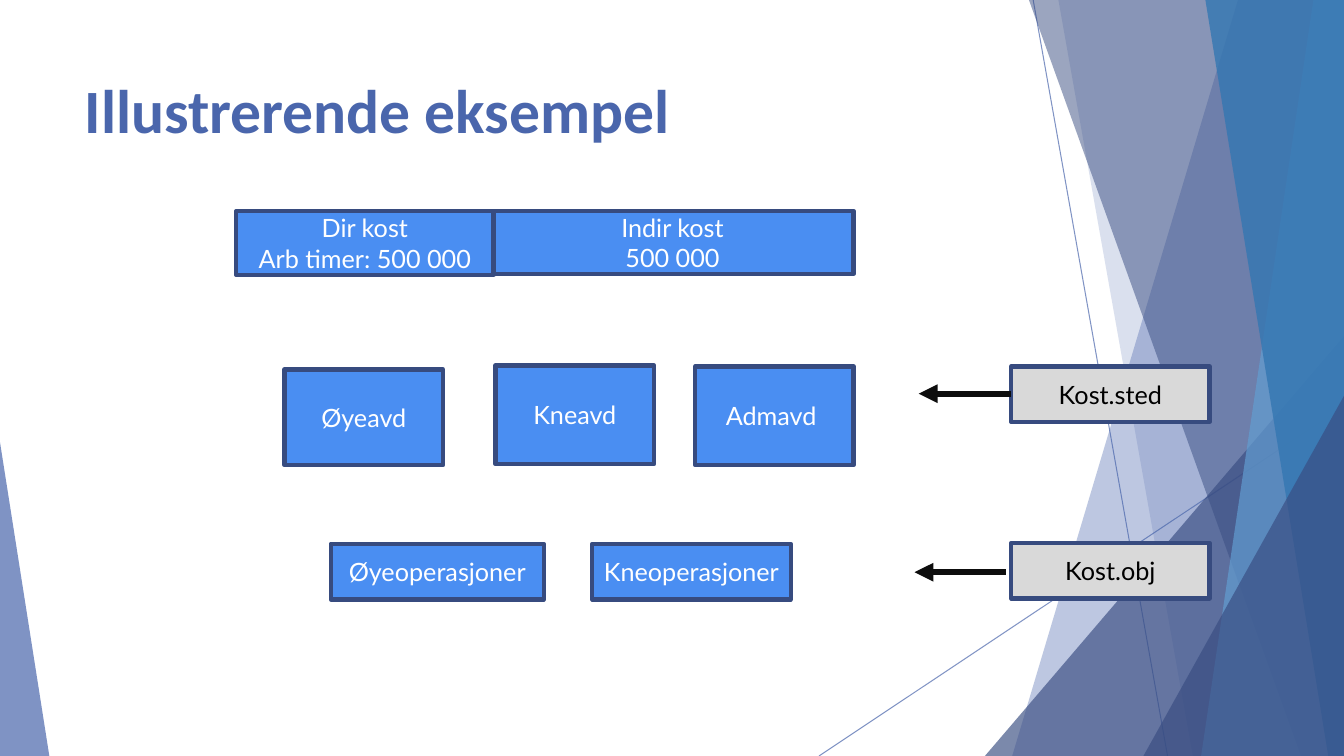
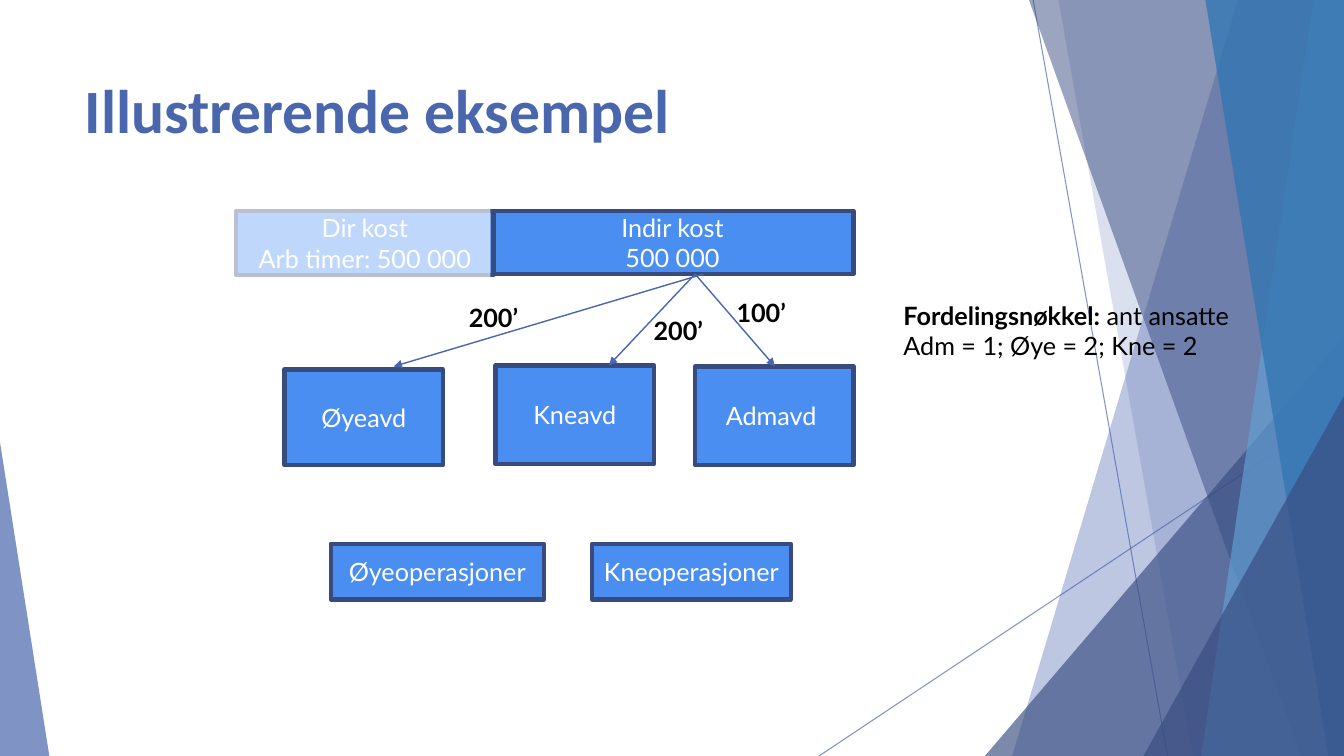
import pptx
import pptx.util
import pptx.dml.color
import pptx.enum.shapes
import pptx.enum.text
import pptx.oxml.ns
from lxml import etree

EMU_PER_PX = 9525
WIDTH, HEIGHT = 1280, 720

COLORS = {
    "accent": "4A66AC",
    "dark": "384C81",
    "sky": "629DD1",
    "blue": "3477B2",
    "box": "4A8EF2",
    "border": "374B7F",
    "gray": "D9D9D9",
    "arrow": "0D0D0D",
    "black": "000000",
    "white": "FFFFFF",
}

TITLE_FONT = {"name": "Calibri", "size": pptx.util.Pt(44), "bold": True}
BODY_FONT = {"name": "Lato", "size": pptx.util.Pt(18), "bold": False}
BOLD_FONT = {**BODY_FONT, "bold": True}
BOX_FRAME = {"word_wrap": True, "vertical_anchor": pptx.enum.text.MSO_ANCHOR.MIDDLE}
TOP_FRAME = {"word_wrap": True, "vertical_anchor": pptx.enum.text.MSO_ANCHOR.TOP}

TITLE_PLACE = (71, 64, 902, 138)

BACKDROP_LINES = [((984, 0), (1112, HEIGHT)), ((WIDTH, 387), (780, HEIGHT))]
BACKDROP_SHAPES = [
    ("band", (1179, 964), "accent", 36),
    ("band", (1008, 1136), "accent", 20),
    ("triangle", (938, 320, 342, 400, 1), "dark", 66),
    ("band", (980, 1239), "dark", 50),
    ("band", (1251, 1144), "sky", 70),
    ("band", (1148, 1265), "blue", 80),
    ("triangle", (1089, 377, 191, 343, 1), "dark", 66),
    ("triangle", (0, 421, 47, 299, 0), "accent", 70),
]

COST_BOXES = [
    ("Øyeavd", (271, 352, 151, 91)),
    ("Kneavd", (472, 348, 151, 94)),
    ("Admavd ", (662, 349, 151, 94)),
    ("Indir kost\n500 000", (468, 201, 345, 60)),
    ("Dir kost\nArb timer: 500 000", (225, 201, 245, 61)),
    ("Øyeoperasjoner", (315, 518, 203, 53)),
    ("Kneoperasjoner", (564, 518, 189, 53)),
]
LABEL_BOXES = [
    ("Kost.sted", (963, 349, 189, 53)),
    ("Kost.obj", (963, 517, 189, 53)),
]
LABEL_ARROWS = [((963, 375), (875, 375)), ((958, 545), (871, 545))]

ALLOCATION_ARROWS = [
    ((670, 261), (375, 349)),
    ((662, 261), (580, 348)),
    ((662, 261), (738, 349)),
]
ALLOCATION_KEY = [
    [("Fordelingsnøkkel:", BOLD_FONT), (" ant ansatte", BODY_FONT)],
    [("Adm = 1; Øye = 2; Kne = 2", BODY_FONT)],
]
AMOUNTS = [
    ("100’", (692, 278, 71, 38)),
    ("200’", (613, 296, 71, 38)),
    ("200’", (437, 283, 71, 38)),
]
VEIL_PLACE = (185, 179, 282, 100)


def px(*values):
    return [pptx.util.Emu(value * EMU_PER_PX) for value in values]


def color(name):
    return pptx.dml.color.RGBColor.from_string(COLORS[name])


def apply(target, values):
    for name, value in values.items():
        setattr(target, name, value)


def add_xml(parent, tag, **attributes):
    return etree.SubElement(parent, pptx.oxml.ns.qn(tag), attributes)


def set_opacity(shape, percent):
    for element in shape.element.spPr.findall(".//" + pptx.oxml.ns.qn("a:srgbClr")):
        add_xml(element, "a:alpha", val=str(percent * 1000))


def format_run(run, font, color_name):
    apply(run.font, font)
    run.font.color.rgb = color(color_name)


def paint(shape, fill, opacity=100, border=None):
    shape.shadow.inherit = False
    shape.fill.solid()
    shape.fill.fore_color.rgb = color(fill)
    if opacity < 100:
        set_opacity(shape, opacity)
    if border:
        shape.line.color.rgb = color(border)
        shape.line.width = pptx.util.Pt(3)
    else:
        shape.line.fill.background()


def add_line(slide, start, end, color_name, points, arrow=False):
    line = slide.shapes.add_connector(
        pptx.enum.shapes.MSO_CONNECTOR.STRAIGHT, *px(*start, *end))
    line.line.color.rgb = color(color_name)
    line.line.width = pptx.util.Pt(points)
    if arrow:
        add_xml(line.element.spPr.get_or_add_ln(), "a:tailEnd", type="triangle")
    add_xml(line.element.spPr, "a:effectLst")
    return line


def add_band(slide, top_x, bottom_x):
    builder = slide.shapes.build_freeform(top_x, 0, scale=EMU_PER_PX)
    builder.add_line_segments(
        [(WIDTH, 0), (WIDTH, HEIGHT), (bottom_x, HEIGHT)], close=True)
    return builder.convert_to_shape()


def add_triangle(slide, left, top, width, height, apex):
    shape = slide.shapes.add_shape(
        pptx.enum.shapes.MSO_SHAPE.ISOSCELES_TRIANGLE, *px(left, top, width, height))
    shape.adjustments[0] = apex
    return shape


def add_rectangle(slide, place):
    return slide.shapes.add_shape(pptx.enum.shapes.MSO_SHAPE.RECTANGLE, *px(*place))


def add_box(slide, text, place, fill="box", text_color="white"):
    box = add_rectangle(slide, place)
    paint(box, fill, border="border")
    apply(box.text_frame, BOX_FRAME)
    box.text_frame.text = text
    for paragraph in box.text_frame.paragraphs:
        paragraph.alignment = pptx.enum.text.PP_ALIGN.CENTER
        for run in paragraph.runs:
            format_run(run, BODY_FONT, text_color)


def add_text(slide, paragraphs, place):
    frame = slide.shapes.add_textbox(*px(*place)).text_frame
    apply(frame, TOP_FRAME)
    for index, pieces in enumerate(paragraphs):
        paragraph = frame.add_paragraph() if index else frame.paragraphs[0]
        for text, font in pieces:
            run = paragraph.add_run()
            run.text = text
            format_run(run, font, "black")


def build_layout(layout, slide):
    apply(layout.placeholders[0],
          dict(zip(("left", "top", "width", "height"), px(*TITLE_PLACE))))
    makers = {"band": add_band, "triangle": add_triangle}
    backdrop = []
    for start, end in BACKDROP_LINES:
        line = add_line(slide, start, end, "accent", 0.75)
        set_opacity(line, 70)
        backdrop.append(line)
    for kind, geometry, fill, opacity in BACKDROP_SHAPES:
        shape = makers[kind](slide, *geometry)
        paint(shape, fill, opacity)
        backdrop.append(shape)
    for shape in backdrop:
        layout.shapes.element.append(shape.element)


def add_cost_model(slide):
    title = slide.shapes.title
    title.text = "Illustrerende eksempel"
    apply(title.text_frame, TOP_FRAME)
    paragraph = title.text_frame.paragraphs[0]
    paragraph.alignment = pptx.enum.text.PP_ALIGN.LEFT
    format_run(paragraph.runs[0], TITLE_FONT, "accent")
    for text, place in COST_BOXES:
        add_box(slide, text, place)


def add_labels(slide):
    for text, place in LABEL_BOXES:
        add_box(slide, text, place, "gray", "black")
    for start, end in LABEL_ARROWS:
        add_line(slide, start, end, "arrow", 4.5, arrow=True)


def add_allocation(slide):
    for start, end in ALLOCATION_ARROWS:
        add_line(slide, start, end, "accent", 1, arrow=True)
    add_text(slide, ALLOCATION_KEY, (851, 281, 351, 68))
    for text, place in AMOUNTS:
        add_text(slide, [[(text, BOLD_FONT)]], place)
    paint(add_rectangle(slide, VEIL_PLACE), "white", 65)


def main():
    presentation = pptx.Presentation()
    presentation.slide_width, presentation.slide_height = px(WIDTH, HEIGHT)
    layout = presentation.slide_layouts[5]
    slides = [presentation.slides.add_slide(layout) for _ in range(2)]
    build_layout(layout, slides[0])
    for slide, add_details in zip(slides, (add_labels, add_allocation)):
        add_cost_model(slide)
        add_details(slide)
    presentation.save("out.pptx")


if __name__ == "__main__":
    main()
